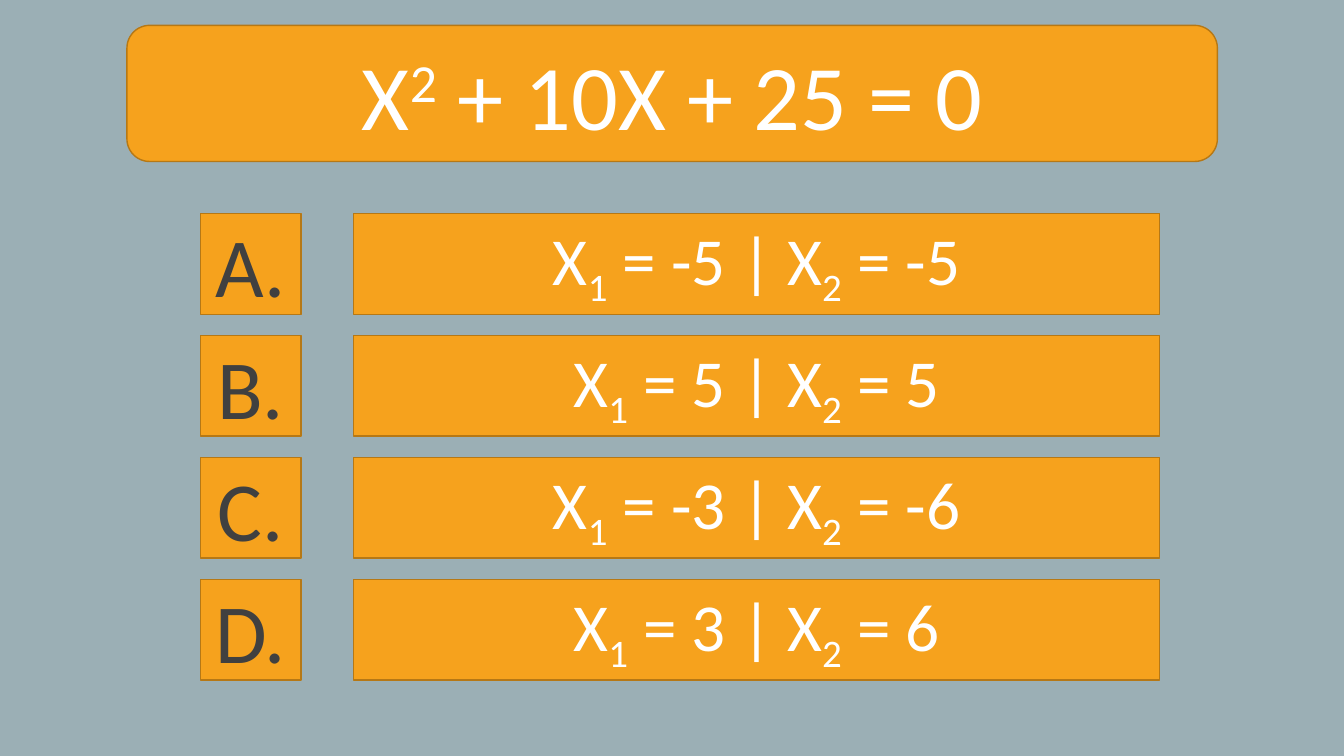
from dataclasses import dataclass

from pptx import Presentation
from pptx.dml.color import RGBColor
from pptx.enum import shapes, text
from pptx.util import Cm, Pt


@dataclass(frozen=True)
class Theme:
    """Colours, font and type sizes of the quiz."""
    backdrop: RGBColor = RGBColor(0x9B, 0xAF, 0xB5)
    panel: RGBColor = RGBColor(0xF6, 0xA2, 0x1D)
    outline: RGBColor = RGBColor(0xB6, 0x78, 0x15)
    light: RGBColor = RGBColor(0xFF, 0xFF, 0xFF)
    dark: RGBColor = RGBColor(0x40, 0x40, 0x40)
    font: str = "Calibri"
    question_size: int = 66
    letter_size: int = 60
    answer_size: int = 48


THEME = Theme()
SUPERSCRIPT = 30000
SUBSCRIPT = -25000
QUESTION = [("X", 0), ("2", SUPERSCRIPT), (" + 10X + 25 = 0", 0)]
ANSWERS = [("A.", "-5", "-5"), ("B.", "5", "5"), ("C.", "-3", "-6"), ("D.", "3", "6")]


def add_panel(page, kind, box, spans, size, color):
    """Draw an orange panel in box with centred text made of (text, baseline) spans."""
    panel = page.shapes.add_shape(kind, *(Cm(length) for length in box))
    panel.shadow.inherit = False
    panel.fill.solid()
    panel.fill.fore_color.rgb = THEME.panel
    panel.line.color.rgb = THEME.outline
    panel.line.width = Pt(1)
    frame = panel.text_frame
    frame.word_wrap = True
    frame.vertical_anchor = text.MSO_ANCHOR.MIDDLE
    para = frame.paragraphs[0]
    para.alignment = text.PP_ALIGN.CENTER
    for words, baseline in spans:
        span = para.add_run()
        span.text = words
        span.font.name = THEME.font
        span.font.size = Pt(size)
        span.font.color.rgb = color
        if baseline:
            span._r.get_or_add_rPr().set("baseline", str(baseline))


def add_question(page, box):
    """Place the equation in a rounded panel that fills box."""
    add_panel(page, shapes.MSO_SHAPE.ROUNDED_RECTANGLE, box, QUESTION,
              THEME.question_size, THEME.light)


def add_answers(page, box, gutter=1.32):
    """Stack one row per answer in box: a square letter panel, then the roots."""
    left, top, width, height = box
    side = 2.54
    pitch = (height - side) / (len(ANSWERS) - 1)
    offset = side + gutter
    rectangle = shapes.MSO_SHAPE.RECTANGLE
    for row, (letter, first, second) in enumerate(ANSWERS):
        y = top + row * pitch
        roots = [("X", 0), ("1", SUBSCRIPT), (f" = {first} | X", 0),
                 ("2", SUBSCRIPT), (f" = {second}", 0)]
        add_panel(page, rectangle, (left, y, side, side), [(letter, 0)],
                  THEME.letter_size, THEME.dark)
        add_panel(page, rectangle, (left + offset, y, width - offset, side), roots,
                  THEME.answer_size, THEME.light)


def build_quiz(deck):
    """Add the quiz page with its question and answers."""
    page = deck.slides.add_slide(deck.slide_layouts[6])
    page.background.fill.solid()
    page.background.fill.fore_color.rgb = THEME.backdrop
    add_question(page, (3.2, 0.64, 27.48, 3.43))
    add_answers(page, (5.05, 5.38, 24.18, 11.76))


def main():
    """Build and save the deck."""
    deck = Presentation()
    deck.slide_width, deck.slide_height = Cm(33.87), Cm(19.05)
    build_quiz(deck)
    deck.save("out.pptx")


if __name__ == "__main__":
    main()
